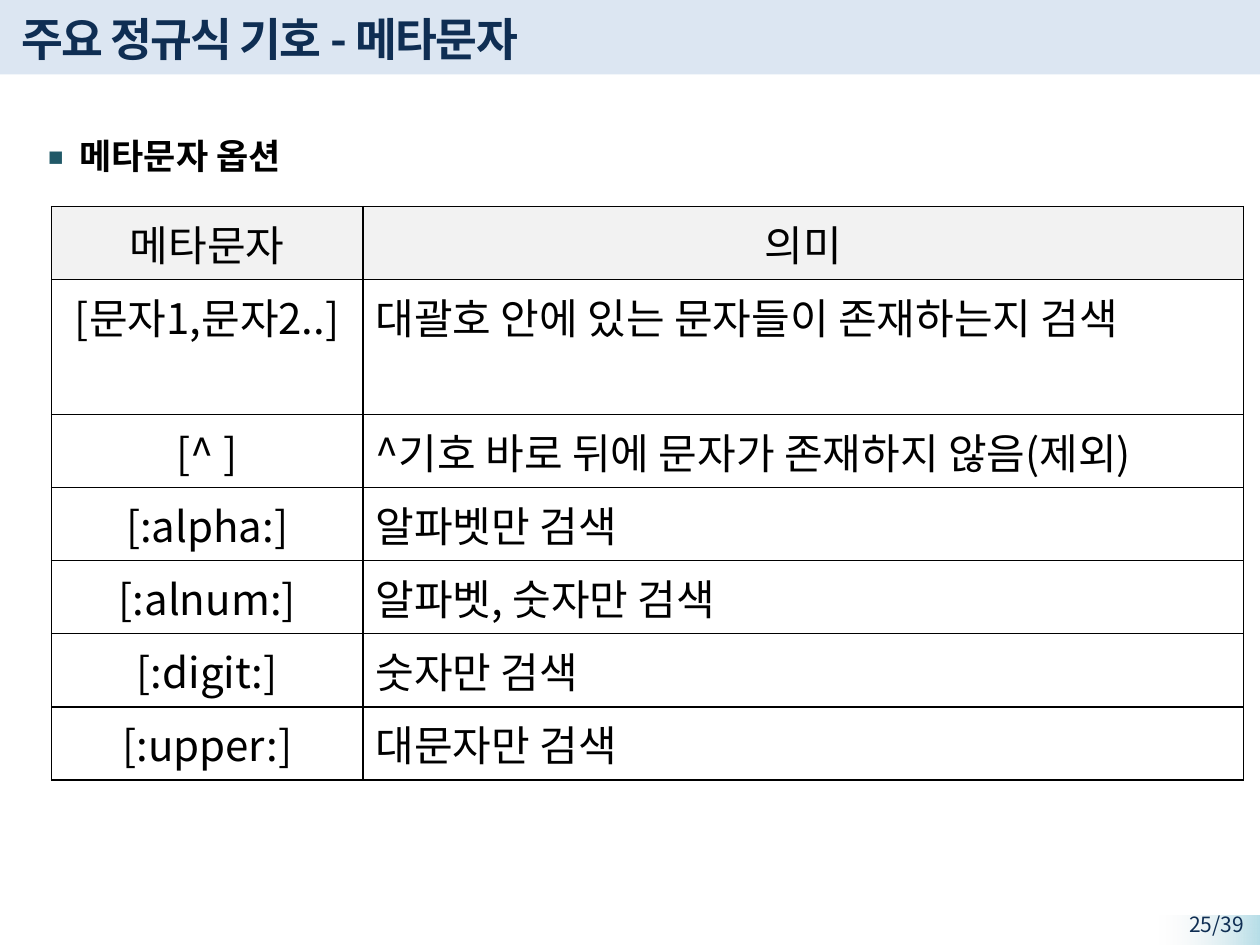
from dataclasses import dataclass

from lxml import etree
from pptx import Presentation
from pptx import util as u
from pptx.dml.color import RGBColor
from pptx.enum import shapes, text
from pptx.oxml import ns

FONT = "Noto Sans CJK KR"
COLORS = {"navy": "0F2E53", "band": "DCE6F2", "aqua": "B7DEE8", "gray": "F2F2F2",
          "bullet": "215968", "black": "000000"}
LEFT, CENTER, RIGHT = (text.PP_ALIGN.LEFT, text.PP_ALIGN.CENTER, text.PP_ALIGN.RIGHT)
ROW_HEIGHT, TALL_ROW_HEIGHT = 0.58, 1.07


@dataclass
class MetaCharacter:
    symbol: str
    meaning: str
    height: float = ROW_HEIGHT


@dataclass
class Label:
    words: str
    box: tuple
    size: float
    color: str = "navy"
    bold: bool = False
    align: int = LEFT
    anchor: int = text.MSO_ANCHOR.TOP


META_CHARACTERS = [
    MetaCharacter("[문자1,문자2..]", "대괄호 안에 있는 문자들이 존재하는지 검색", TALL_ROW_HEIGHT),
    MetaCharacter("[^ ]", "^기호 바로 뒤에 문자가 존재하지 않음(제외)"),
    MetaCharacter("[:alpha:]", "알파벳만 검색"),
    MetaCharacter("[:alnum:]", "알파벳, 숫자만 검색"),
    MetaCharacter("[:digit:]", "숫자만 검색"),
    MetaCharacter("[:upper:]", "대문자만 검색"),
]


def rgb(color: str) -> RGBColor:
    """Look up a named colour."""
    return RGBColor.from_string(COLORS[color])


def add_xml(parent, tag: str, **attributes):
    """Append a DrawingML element and return it."""
    return etree.SubElement(parent, ns.qn(tag), attributes)


def write(paragraph, words: str, size: float, color: str, bold: bool, align: int):
    """Write one formatted run and return it."""
    run = paragraph.add_run()
    run.text = words
    paragraph.alignment = align
    for name, value in {"name": FONT, "size": u.Pt(size), "bold": bold}.items():
        setattr(run.font, name, value)
    run.font.color.rgb = rgb(color)
    add_xml(run.font._element, "a:ea", typeface=FONT)
    return run


def add_label(slide, label: Label):
    """Add a text box and return its paragraph and run."""
    frame = slide.shapes.add_textbox(*map(u.Inches, label.box)).text_frame
    frame.word_wrap = True
    frame.vertical_anchor = label.anchor
    paragraph = frame.paragraphs[0]
    run = write(paragraph, label.words, label.size, label.color, label.bold, label.align)
    return paragraph, run


def add_band(slide, *box: float):
    """Add a plain rectangle without line or shadow."""
    band = slide.shapes.add_shape(shapes.MSO_SHAPE.RECTANGLE, *map(u.Inches, box))
    band.shadow.inherit = False
    band.line.fill.background()
    return band


def add_backdrop(slide) -> None:
    """Draw the title band and the fading page number band."""
    title_band = add_band(slide, 0, -0.02, 10, 0.61)
    title_band.fill.solid()
    title_band.fill.fore_color.rgb = rgb("band")
    page_band = add_band(slide, 9.2, 7.27, 0.8, 0.24)
    page_band.fill.gradient()
    page_band.fill.gradient_angle = 180
    for stop, color in zip(page_band.fill.gradient_stops, ("aqua", "gray")):
        stop.color.rgb = rgb(color)
    faded = page_band._element.spPr.findall(".//" + ns.qn("a:srgbClr"))[-1]
    add_xml(faded, "a:alpha", val="0")


def add_bullet(paragraph) -> None:
    """Give a paragraph the square bullet and its hanging indent."""
    properties = paragraph._p.get_or_add_pPr()
    properties.set("marL", str(u.Inches(0.39)))
    properties.set("indent", str(u.Inches(-0.29)))
    bullet_color = add_xml(properties, "a:buClr")
    add_xml(bullet_color, "a:srgbClr", val=COLORS["bullet"])
    add_xml(properties, "a:buSzPct", val="130000")
    add_xml(properties, "a:buFont", typeface=FONT)
    add_xml(properties, "a:buChar", char="▪")


def add_borders(cell) -> None:
    """Outline a cell with thin black lines."""
    properties = cell._tc.get_or_add_tcPr()
    for position, side in enumerate(("a:lnL", "a:lnR", "a:lnT", "a:lnB")):
        line = etree.Element(ns.qn(side), w=str(u.Pt(1)))
        add_xml(add_xml(line, "a:solidFill"), "a:srgbClr", val=COLORS["black"])
        properties.insert(position, line)


def add_meta_table(slide, entries: list[MetaCharacter]) -> None:
    """Draw the table of metacharacters under its heading row."""
    rows = [MetaCharacter("메타문자", "의미"), *entries]
    total_height = sum(entry.height for entry in rows)
    table = slide.shapes.add_table(
        len(rows), 2, *map(u.Inches, (0.41, 1.64, 9.46, total_height))).table
    for column, width in zip(table.columns, (2.47, 6.99)):
        column.width = u.Inches(width)
    for index, entry in enumerate(rows):
        table.rows[index].height = u.Inches(entry.height)
        heading = index == 0
        for column, words in enumerate((entry.symbol, entry.meaning)):
            cell = table.cell(index, column)
            if heading:
                cell.fill.solid()
                cell.fill.fore_color.rgb = rgb("gray")
            else:
                cell.fill.background()
            add_borders(cell)
            align = CENTER if heading or column == 0 else LEFT
            write(cell.text_frame.paragraphs[0], words, 24, "black", False, align)


def main() -> None:
    """Build the metacharacter slide."""
    deck = Presentation()
    deck.slide_width, deck.slide_height = u.Inches(10), u.Inches(7.5)
    slide = deck.slides.add_slide(deck.slide_layouts[6])
    add_backdrop(slide)
    middle = text.MSO_ANCHOR.MIDDLE
    add_label(slide, Label("25/39", (9.05, 7.22, 0.92, 0.23), 12, align=RIGHT, anchor=middle))
    _, title = add_label(slide, Label("주요 정규식 기호 - 메타문자", (0.07, 0.04, 8.51, 0.52), 26,
                                      bold=True, anchor=middle))
    title.font._element.set("spc", "-100")
    topic, _ = add_label(slide, Label("메타문자 옵션", (0.07, 0.85, 9.8, 6.2), 20, "black", True))
    add_bullet(topic)
    topic.line_spacing = 1.5
    add_meta_table(slide, META_CHARACTERS)
    deck.save("out.pptx")


if __name__ == "__main__":
    main()
